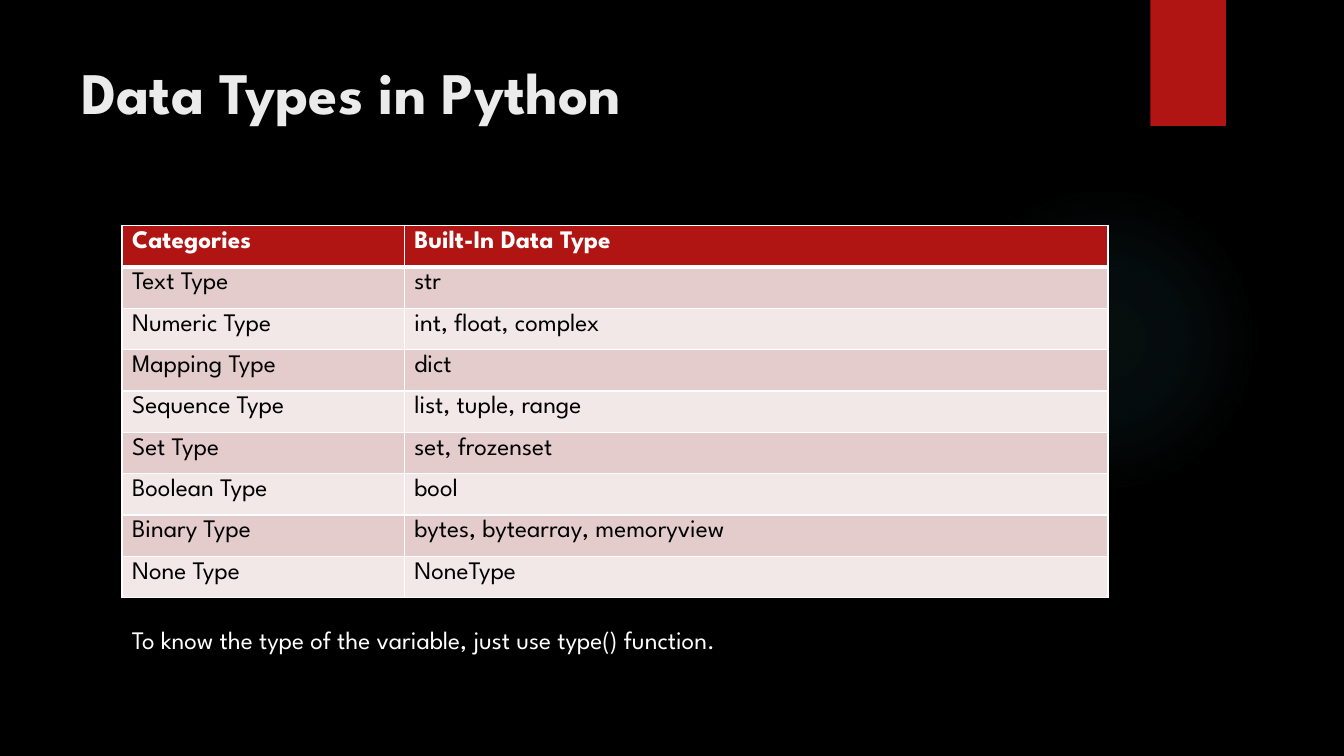
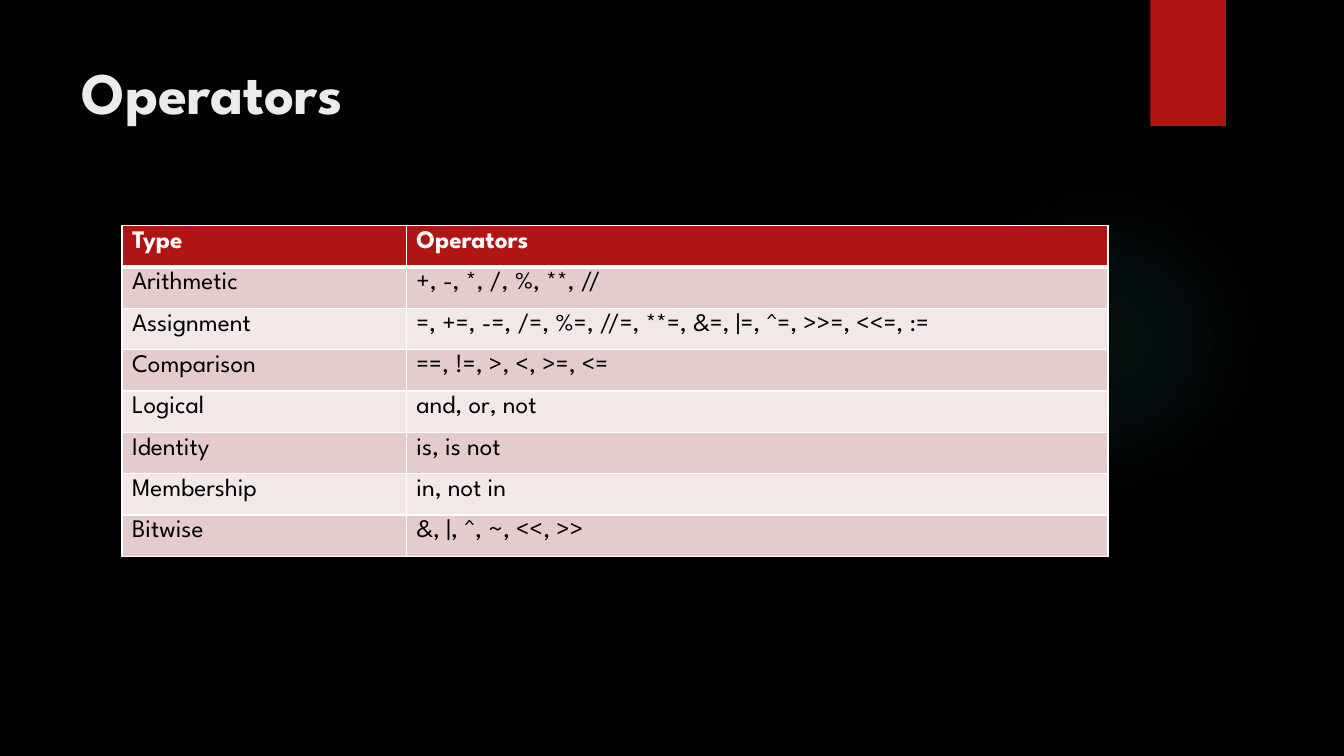
from lxml import etree
from pptx import Presentation
from pptx.dml.color import RGBColor
from pptx.enum.shapes import MSO_SHAPE
from pptx.enum.text import MSO_ANCHOR, MSO_AUTO_SIZE
from pptx.oxml import parse_xml
from pptx.oxml.ns import nsdecls, qn
from pptx.util import Inches, Pt

RECTANGLE, OVAL = MSO_SHAPE.RECTANGLE, MSO_SHAPE.OVAL
TOP = MSO_ANCHOR.TOP
GROW = MSO_AUTO_SIZE.SHAPE_TO_FIT_TEXT

FONT = "League Spartan"
COLORS = {
    "background": "000000",
    "accent": "B01513",
    "glow": "50B9C1",
    "title": "EBEBEB",
    "light": "FFFFFF",
    "dark": "000000",
    "odd_row": "E4CCCC",
    "even_row": "F2E8E7",
}
ROW_HEIGHT = 0.41
TABLE_LEFT, TABLE_TOP, TABLE_WIDTH = 1.21, 2.24, 9.78

SLIDES = [
    {
        "title": "Data Types in Python",
        "first_column": 2.8,
        "rows": [
            ("Categories", "Built-In Data Type"),
            ("Text Type", "str"),
            ("Numeric Type", "int, float, complex"),
            ("Mapping Type", "dict"),
            ("Sequence Type", "list, tuple, range"),
            ("Set Type", "set, frozenset"),
            ("Boolean Type", "bool"),
            ("Binary Type", "bytes, bytearray, memoryview"),
            ("None Type", "NoneType"),
        ],
        "caption": "To know the type of the variable, just use type() function.",
    },
    {
        "title": "Operators",
        "first_column": 2.82,
        "rows": [
            ("Type", "Operators"),
            ("Arithmetic", "+, -, *, /, %, **, //"),
            ("Assignment", "=, +=, -=, /=, %=, //=, **=, &=, |=, ^=, >>=, <<=, :="),
            ("Comparison", "==, !=, >, <, >=, <="),
            ("Logical", "and, or, not"),
            ("Identity", "is, is not"),
            ("Membership", "in, not in"),
            ("Bitwise", "&, |, ^, ~, <<, >>"),
        ],
        "caption": None,
    },
]


def add_text(frame, text, size, color, bold=False):
    run = frame.paragraphs[0].add_run()
    run.text = text
    run.font.name = FONT
    run.font.size = Pt(size)
    run.font.bold = bold
    run.font.color.rgb = RGBColor.from_string(COLORS[color])


def set_borders(cell, widths):
    properties = cell._tc.get_or_add_tcPr()
    for position, (side, width) in enumerate(widths.items()):
        properties.insert(position, parse_xml(
            f'<a:{side} {nsdecls("a")} w="{Pt(width)}"><a:solidFill>'
            f'<a:srgbClr val="{COLORS["light"]}"/></a:solidFill></a:{side}>'))


prs = Presentation()
prs.slide_width, prs.slide_height = Inches(13.33), Inches(7.5)
blank = prs.slide_layouts[6]

# Shared background, glow and ribbon on the master
master = prs.slide_master
master.background.fill.solid()
master.background.fill.fore_color.rgb = RGBColor.from_string(COLORS["background"])

for content in SLIDES:
    slide = prs.slides.add_slide(blank)

    # Soft glow
    glow = slide.shapes.add_shape(
        OVAL, Inches(9.41), Inches(1.83), Inches(3.08), Inches(3.08))
    glow.shadow.inherit = False
    glow.line.fill.background()
    glow.fill.gradient()
    gradient = glow._element.spPr.find(qn("a:gradFill"))
    stops = "".join(
        f'<a:gs pos="{position}000"><a:srgbClr val="{COLORS["glow"]}">'
        f'<a:alpha val="{alpha}000"/></a:srgbClr></a:gs>'
        for position, alpha in ((0, 7), (36, 6), (69, 0)))
    gradient.getparent().replace(gradient, parse_xml(
        f'<a:gradFill {nsdecls("a")}><a:gsLst>{stops}</a:gsLst><a:path path="circle">'
        '<a:fillToRect l="50000" t="50000" r="50000" b="50000"/></a:path></a:gradFill>'))

    # Ribbon with a soft shadow
    ribbon = slide.shapes.add_shape(
        RECTANGLE, Inches(11.41), 0, Inches(0.75), Inches(1.25))
    ribbon.shadow.inherit = False
    ribbon.fill.solid()
    ribbon.fill.fore_color.rgb = RGBColor.from_string(COLORS["accent"])
    ribbon.line.fill.background()
    shadow = etree.SubElement(
        ribbon._element.spPr.find(qn("a:effectLst")), qn("a:outerShdw"),
        blurRad=str(Pt(3)), dist=str(Pt(2)), dir="5400000", rotWithShape="0")
    shadow_color = etree.SubElement(shadow, qn("a:srgbClr"), val=COLORS["dark"])
    etree.SubElement(shadow_color, qn("a:alpha"), val="45000")

    # Title
    title = slide.shapes.add_textbox(
        Inches(0.71), Inches(0.5), Inches(10.29), Inches(1.53)).text_frame
    title.word_wrap = True
    title.vertical_anchor = TOP
    add_text(title, content["title"], 42, "title", bold=True)

    # Table
    rows = content["rows"]
    table = slide.shapes.add_table(
        len(rows), 2, Inches(TABLE_LEFT), Inches(TABLE_TOP),
        Inches(TABLE_WIDTH), Inches(ROW_HEIGHT * len(rows))).table
    table.columns[0].width = Inches(content["first_column"])
    table.columns[1].width = Inches(TABLE_WIDTH - content["first_column"])
    for row_index, row in enumerate(rows):
        table.rows[row_index].height = Inches(ROW_HEIGHT)
        header = row_index == 0
        fill = "accent" if header else "odd_row" if row_index % 2 else "even_row"
        for column_index, text in enumerate(row):
            cell = table.cell(row_index, column_index)
            cell.fill.solid()
            cell.fill.fore_color.rgb = RGBColor.from_string(COLORS[fill])
            set_borders(cell, {"lnL": 1, "lnR": 1, "lnT": 3 if row_index == 1 else 1,
                               "lnB": 3 if header else 1})
            add_text(cell.text_frame, text, 18, "light" if header else "dark", header)

    # Caption below the table
    if content["caption"]:
        caption = slide.shapes.add_textbox(
            Inches(TABLE_LEFT), Inches(6.14), Inches(7.14), Inches(0.4)).text_frame
        caption.word_wrap = False
        caption.auto_size = GROW
        add_text(caption, content["caption"], 18, "light")

prs.save("out.pptx")
